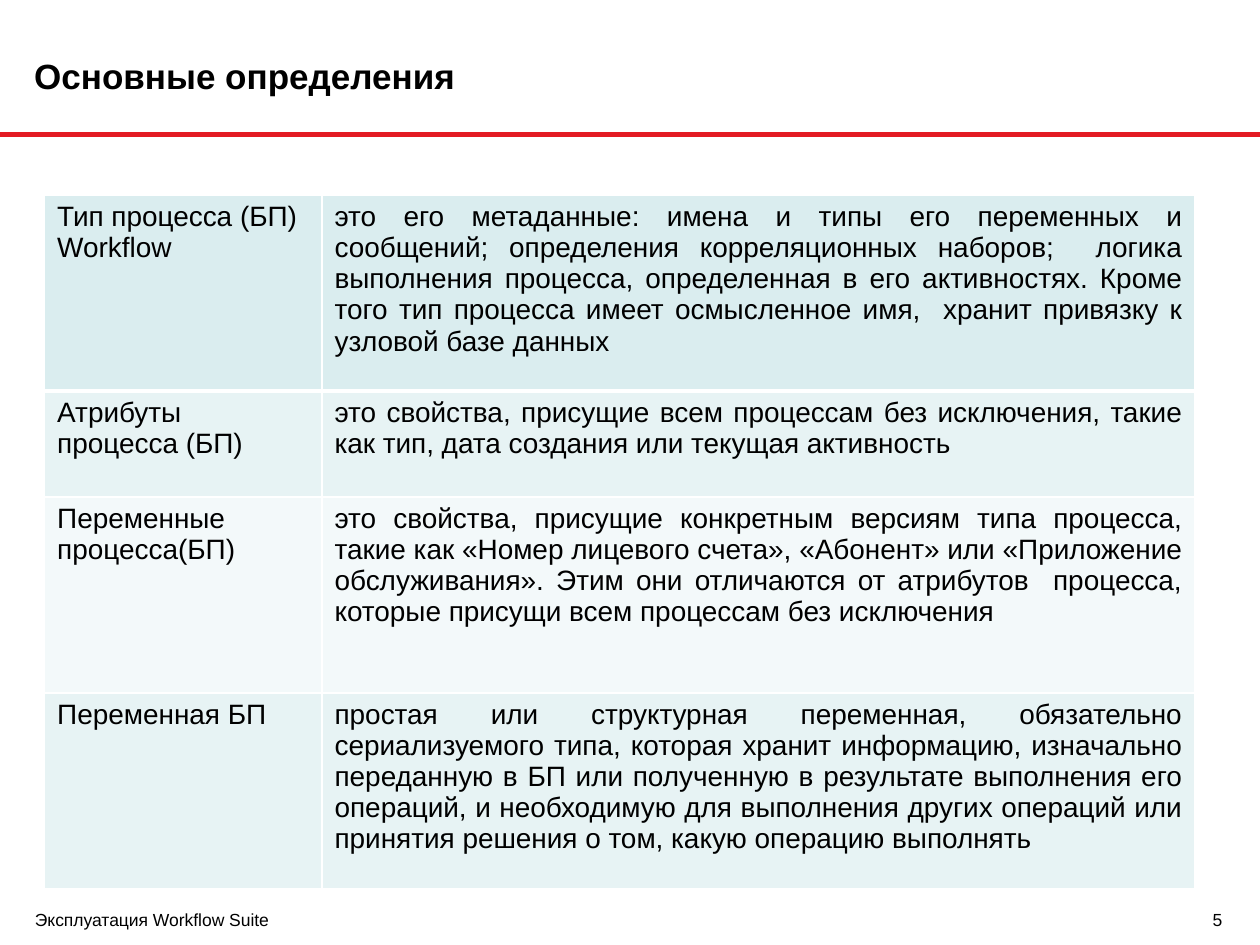
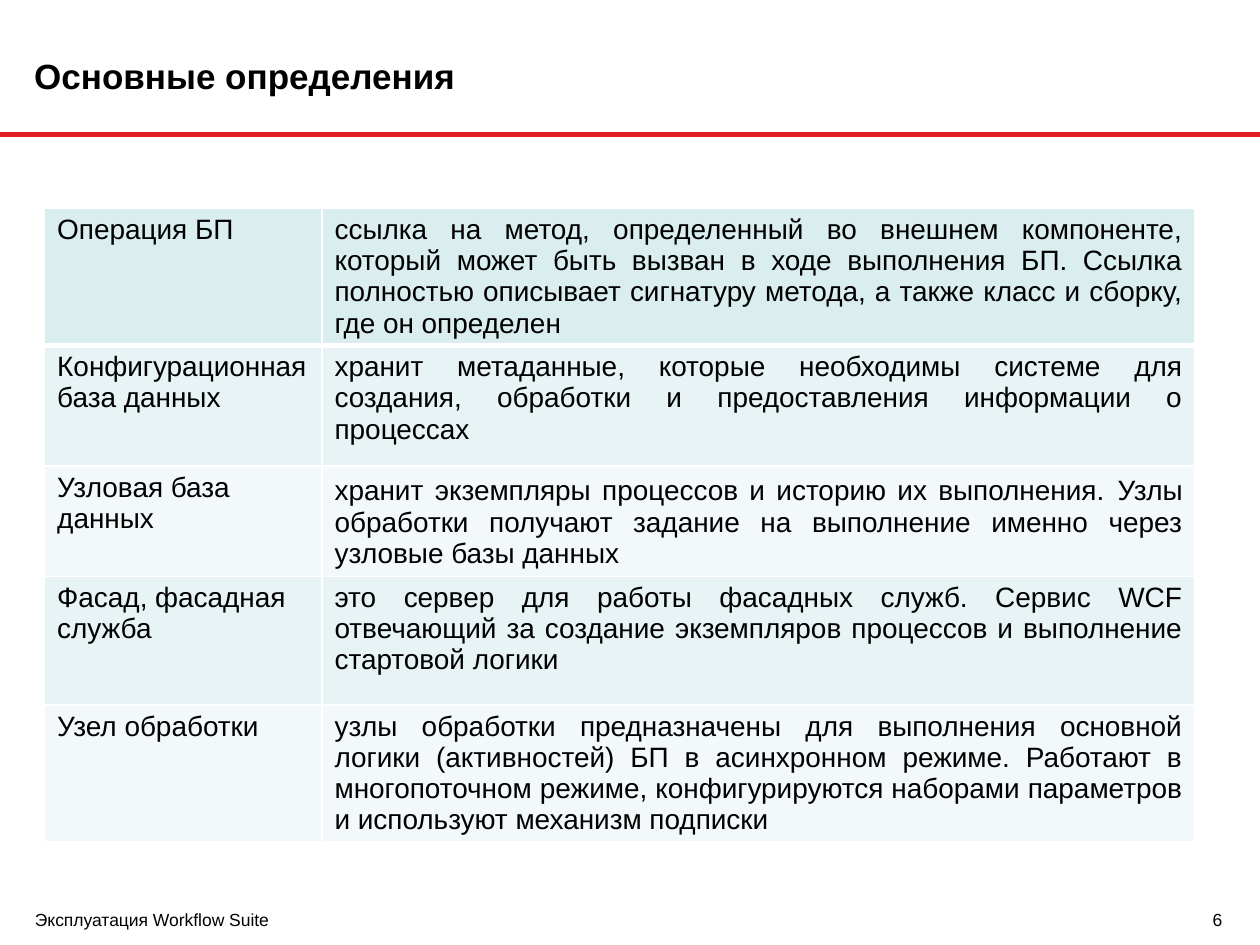
from lxml.etree import SubElement
from pptx import Presentation
from pptx.dml.color import RGBColor
from pptx.enum.shapes import MSO_CONNECTOR
from pptx.enum.text import MSO_ANCHOR, MSO_AUTO_SIZE, PP_ALIGN
from pptx.oxml import parse_xml
from pptx.oxml.ns import nsdecls, qn
from pptx.util import Pt

BLACK = RGBColor(0x00, 0x00, 0x00)
WHITE = RGBColor(0xFF, 0xFF, 0xFF)
RED = RGBColor(0xE3, 0x1B, 0x23)
FIRST_ROW = RGBColor(0xDA, 0xED, 0xEF)
ODD_BAND = RGBColor(0xE7, 0xF3, 0xF4)
EVEN_BAND = RGBColor(0xF3, 0xF9, 0xFA)

FONT = "Arial"
SLIDE_WIDTH, SLIDE_HEIGHT = 720, 540
TITLE_BOX = (19.5, 9.5, 607, 67.5)
RULE_TOP = 77
FOOTER_BOX = (20, 514, 678.5, 17.5)
NUMBER_WIDTH = 31
TABLE_LEFT = 25.5
TERM_WIDTH, MEANING_WIDTH = 158.5, 499

TITLE = "Основные определения"
FOOTER = "Эксплуатация Workflow Suite"

PROCESS_TERMS = [
    (112, "Тип процесса (БП) Workflow",
     "это его метаданные: имена и типы его переменных и сообщений; "
     "определения корреляционных наборов;  логика выполнения процесса, "
     "определенная в его активностях. Кроме того тип процесса имеет "
     "осмысленное имя,  хранит привязку к узловой базе данных"),
    (60.5, "Атрибуты процесса (БП)",
     "это свойства, присущие всем процессам без исключения, такие как тип, "
     "дата создания или текущая активность"),
    (112, "Переменные процесса(БП)",
     "это свойства, присущие конкретным версиям типа процесса, такие как "
     "«Номер лицевого счета», «Абонент» или «Приложение обслуживания». "
     "Этим они отличаются от атрибутов  процесса, которые присущи всем "
     "процессам без исключения"),
    (112, "Переменная БП",
     "простая или структурная переменная, обязательно сериализуемого типа, "
     "которая хранит информацию, изначально переданную в БП или полученную "
     "в результате выполнения его операций, и необходимую для выполнения "
     "других операций или принятия решения о том, какую операцию выполнять"),
]

SYSTEM_TERMS = [
    (77.5, "Операция БП",
     "ссылка на метод, определенный во внешнем компоненте, который может "
     "быть вызван в ходе выполнения БП. Ссылка полностью описывает "
     "сигнатуру метода, а также класс и сборку, где он определен"),
    (69, "Конфигурационная база данных",
     "хранит метаданные, которые необходимы системе для создания, обработки "
     "и предоставления информации о процессах"),
    (63, "Узловая база данных",
     [("хранит экземпляры процессов и историю их выполнения.", 16),
      (" ", 18),
      ("Узлы обработки получают задание на выполнение именно через узловые "
       "базы данных", 16)]),
    (73.5, "Фасад, фасадная служба",
     "это сервер для работы фасадных служб. Сервис WCF отвечающий за "
     "создание экземпляров процессов и выполнение стартовой логики"),
    (77.5, "Узел обработки",
     "узлы обработки предназначены для выполнения основной логики "
     "(активностей) БП в асинхронном режиме. Работают в многопоточном "
     "режиме, конфигурируются наборами параметров и используют механизм "
     "подписки"),
]


def write(frame, text, size=16, bold=False, align=PP_ALIGN.LEFT):
    """Write one paragraph from a string or from (text, size) runs."""
    paragraph = frame.paragraphs[0]
    paragraph.alignment = align
    for words, points in [(text, size)] if isinstance(text, str) else text:
        run = paragraph.add_run()
        run.text = words
        run.font.name = FONT
        run.font.size = Pt(points)
        run.font.bold = bold
        run.font.color.rgb = BLACK


def fit_frame(frame, anchor):
    """Give a text frame no insets, wrapping and a fixed size."""
    frame.margin_left = frame.margin_right = 0
    frame.margin_top = frame.margin_bottom = 0
    frame.word_wrap = True
    frame.auto_size = MSO_AUTO_SIZE.NONE
    frame.vertical_anchor = anchor


def add_heading(slide, box):
    """Place the title in its box and the red rule across the slide."""
    rule = slide.shapes.add_connector(
        MSO_CONNECTOR.STRAIGHT, 0, Pt(RULE_TOP), Pt(SLIDE_WIDTH), Pt(RULE_TOP))
    rule.line.color.rgb = RED
    rule.line.width = Pt(3)
    SubElement(rule._element.spPr, qn("a:effectLst"))
    title = slide.shapes.title
    title.left, title.top, title.width, title.height = map(Pt, box)
    fit_frame(title.text_frame, MSO_ANCHOR.MIDDLE)
    write(title.text_frame, TITLE, size=20, bold=True)


def add_footer(slide, box, number):
    """Place the course name at the left and the page number at the right."""
    left, top, width, height = box
    name_width = width - NUMBER_WIDTH
    for text, x, part_width, align in (
            (FOOTER, left, name_width, PP_ALIGN.LEFT),
            (str(number), left + name_width, NUMBER_WIDTH, PP_ALIGN.RIGHT)):
        frame = slide.shapes.add_textbox(
            Pt(x), Pt(top), Pt(part_width), Pt(height)).text_frame
        fit_frame(frame, MSO_ANCHOR.BOTTOM)
        write(frame, text, size=10, align=align)


def set_borders(cell, top=1, bottom=1):
    """Draw white cell borders with the given top and bottom widths."""
    widths = {"lnL": 1, "lnR": 1, "lnT": top, "lnB": bottom}
    properties = cell._tc.get_or_add_tcPr()
    for position, (side, width) in enumerate(widths.items()):
        properties.insert(position, parse_xml(
            f'<a:{side} {nsdecls("a")} w="{Pt(width)}"><a:solidFill>'
            f'<a:srgbClr val="{WHITE}"/></a:solidFill></a:{side}>'))


def add_definitions(slide, left, top, terms):
    """Place a two-column table of terms and their meanings."""
    total_height = sum(height for height, _, _ in terms)
    table = slide.shapes.add_table(
        len(terms), 2, Pt(left), Pt(top),
        Pt(TERM_WIDTH + MEANING_WIDTH), Pt(total_height)).table
    table.first_row = table.horz_banding = False
    table.columns[0].width = Pt(TERM_WIDTH)
    table.columns[1].width = Pt(MEANING_WIDTH)
    for index, (height, term, meaning) in enumerate(terms):
        table.rows[index].height = Pt(height)
        band = ODD_BAND if index % 2 else EVEN_BAND
        for column, (text, align) in enumerate(
                ((term, PP_ALIGN.LEFT), (meaning, PP_ALIGN.JUSTIFY))):
            cell = table.cell(index, column)
            cell.fill.solid()
            cell.fill.fore_color.rgb = band if index else FIRST_ROW
            set_borders(cell, top=3 if index == 1 else 1,
                        bottom=1 if index else 3)
            write(cell.text_frame, text, align=align)


def add_definitions_slide(deck, number, table_top, terms):
    """Add one slide of definitions."""
    slide = deck.slides.add_slide(deck.slide_layouts[5])
    add_heading(slide, TITLE_BOX)
    add_footer(slide, FOOTER_BOX, number)
    add_definitions(slide, TABLE_LEFT, table_top, terms)


def main():
    """Build and save the deck."""
    deck = Presentation()
    deck.slide_width, deck.slide_height = Pt(SLIDE_WIDTH), Pt(SLIDE_HEIGHT)
    add_definitions_slide(deck, 5, 111.5, PROCESS_TERMS)
    add_definitions_slide(deck, 6, 119, SYSTEM_TERMS)
    deck.save("out.pptx")


main()
